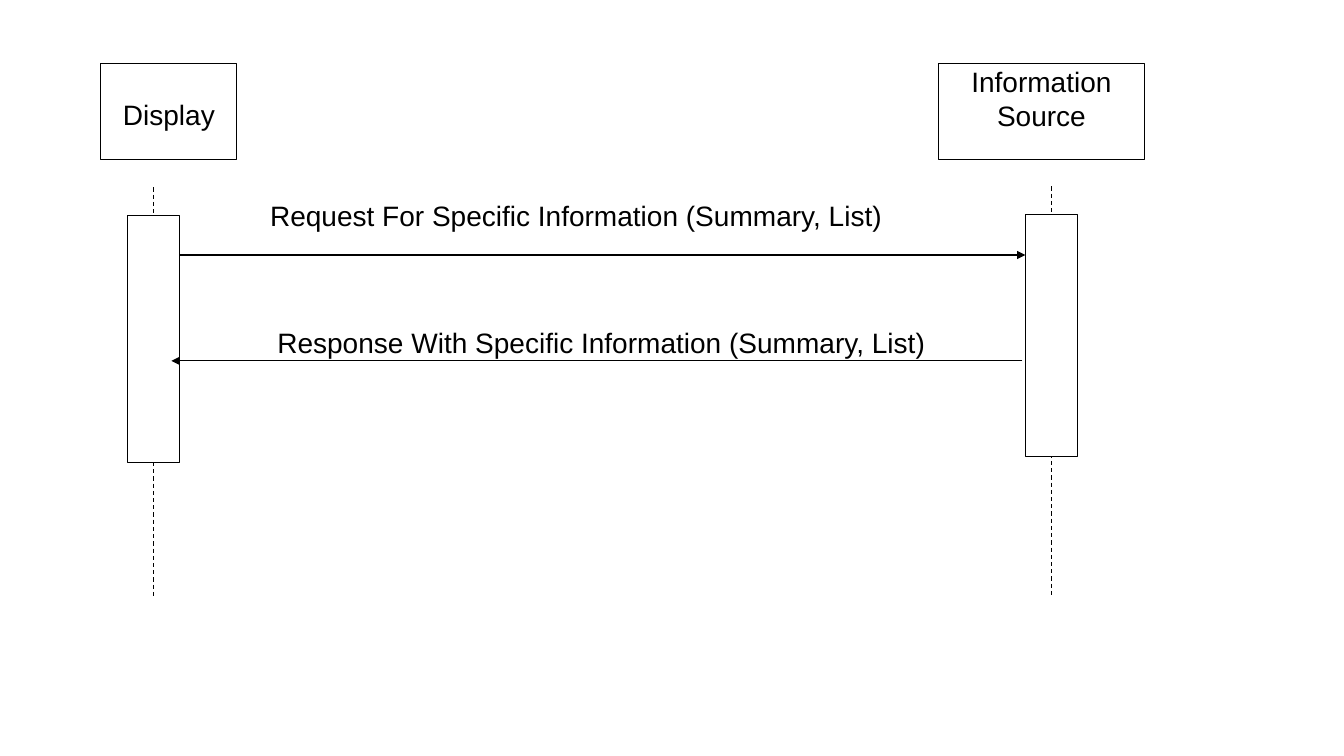
import dataclasses

import pptx
import pptx.dml.color
import pptx.enum.dml
import pptx.enum.shapes
import pptx.enum.text
import pptx.oxml.ns
import pptx.util
from lxml import etree
from pptx.util import Inches


@dataclasses.dataclass(frozen=True)
class Theme:
    ink: str = "000000"
    paper: str = "FFFFFF"
    font: str = "Arial"
    size: float = 20
    line: float = 0.75
    inset: float = 0.01


THEME = Theme()


def tint(code):
    return pptx.dml.color.RGBColor.from_string(code)


def write(shape, text, size=THEME.size, color=THEME.ink, top=THEME.inset):
    frame = shape.text_frame
    frame.word_wrap = True
    frame.vertical_anchor = pptx.enum.text.MSO_ANCHOR.TOP
    frame.margin_left = frame.margin_right = Inches(THEME.inset)
    frame.margin_top, frame.margin_bottom = Inches(top), Inches(THEME.inset)
    para = frame.paragraphs[0]
    para.alignment = pptx.enum.text.PP_ALIGN.CENTER
    run = para.add_run()
    run.text = text
    run.font.name = THEME.font
    run.font.size = pptx.util.Pt(size)
    run.font.color.rgb = tint(color)


def ink_line(line):
    line.color.rgb = tint(THEME.ink)
    line.width = pptx.util.Pt(THEME.line)


def add_box(slide, left, top, width, height):
    kind = pptx.enum.shapes.MSO_SHAPE.RECTANGLE
    box = slide.shapes.add_shape(kind, *map(Inches, (left, top, width, height)))
    box.shadow.inherit = False
    box.fill.solid()
    box.fill.fore_color.rgb = tint(THEME.paper)
    ink_line(box.line)
    return box


def add_line(slide, start, end, dash=False, arrow=False):
    kind = pptx.enum.shapes.MSO_CONNECTOR.STRAIGHT
    line = slide.shapes.add_connector(kind, *map(Inches, start + end))
    ink_line(line.line)
    if dash:
        line.line.dash_style = pptx.enum.dml.MSO_LINE.DASH
    if arrow:
        tail = etree.SubElement(line.line._get_or_add_ln(), pptx.oxml.ns.qn("a:tailEnd"))
        tail.set("type", "triangle")
    etree.SubElement(line._element.spPr, pptx.oxml.ns.qn("a:effectLst"))


def add_label(slide, text, left, top, width, height):
    box = slide.shapes.add_textbox(*map(Inches, (left, top, width, height)))
    write(box, text)


def add_actor(slide, name, left, width, inset, axis, top, height):
    head = add_box(slide, left, 0.63, width, 0.95)
    write(head, name, top=inset)
    add_line(slide, (axis, top), (axis, top + 4.08), dash=True)
    add_box(slide, axis - 0.26, top + 0.28, 0.52, height)


def main():
    deck = pptx.Presentation()
    deck.slide_width, deck.slide_height = Inches(13.33), Inches(7.5)
    slide = deck.slides.add_slide(deck.slide_layouts[6])
    add_actor(slide, "Display", 1, 1.35, 0.34, 1.52, 1.86, 2.45)
    add_actor(slide, "Information Source", 9.31, 2.04, THEME.inset, 10.43, 1.85, 2.4)
    add_line(slide, (1.78, 2.53), (10.17, 2.53), arrow=True)
    add_label(slide, "Request For Specific Information (Summary, List)", 1.82, 1.96, 7.79, 0.63)
    add_label(slide, "Response With Specific Information (Summary, List)", 1.92, 3.22, 8.09, 0.51)
    add_line(slide, (10.14, 3.58), (1.7, 3.58), arrow=True)
    deck.save("out.pptx")


if __name__ == "__main__":
    main()
